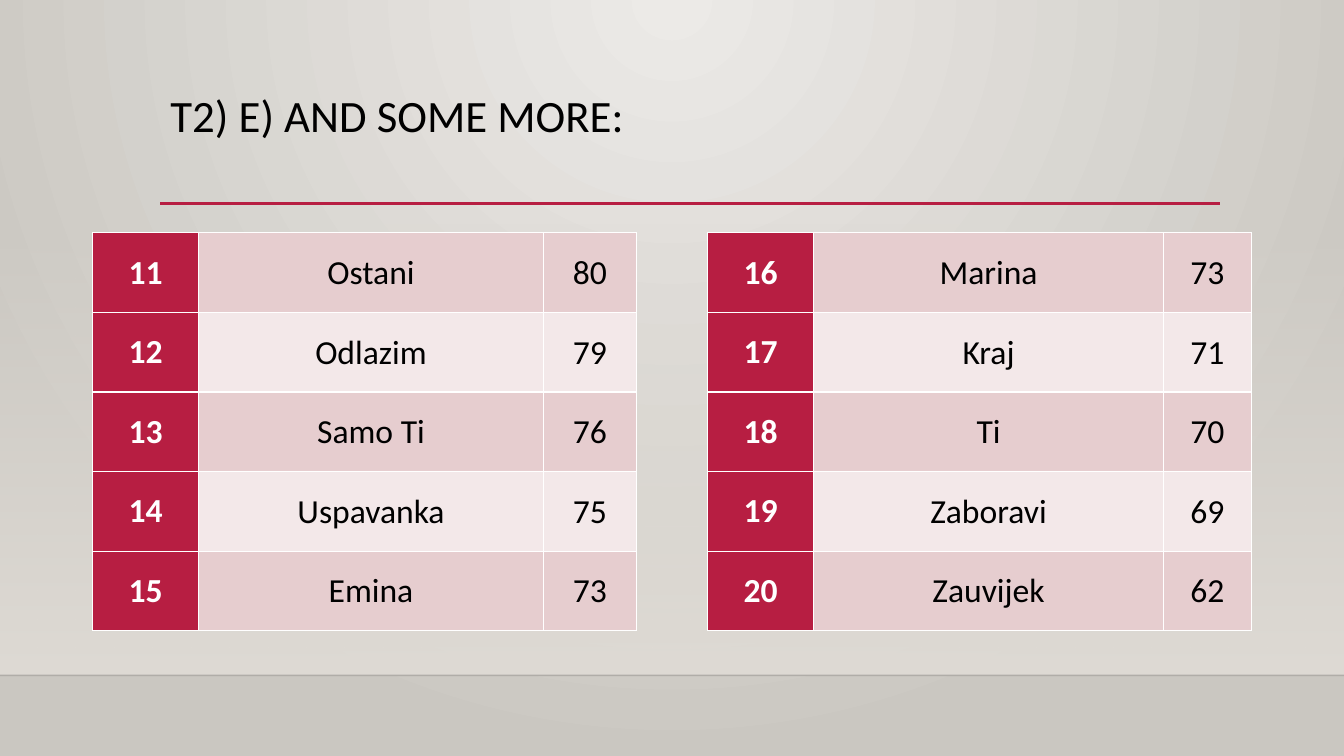
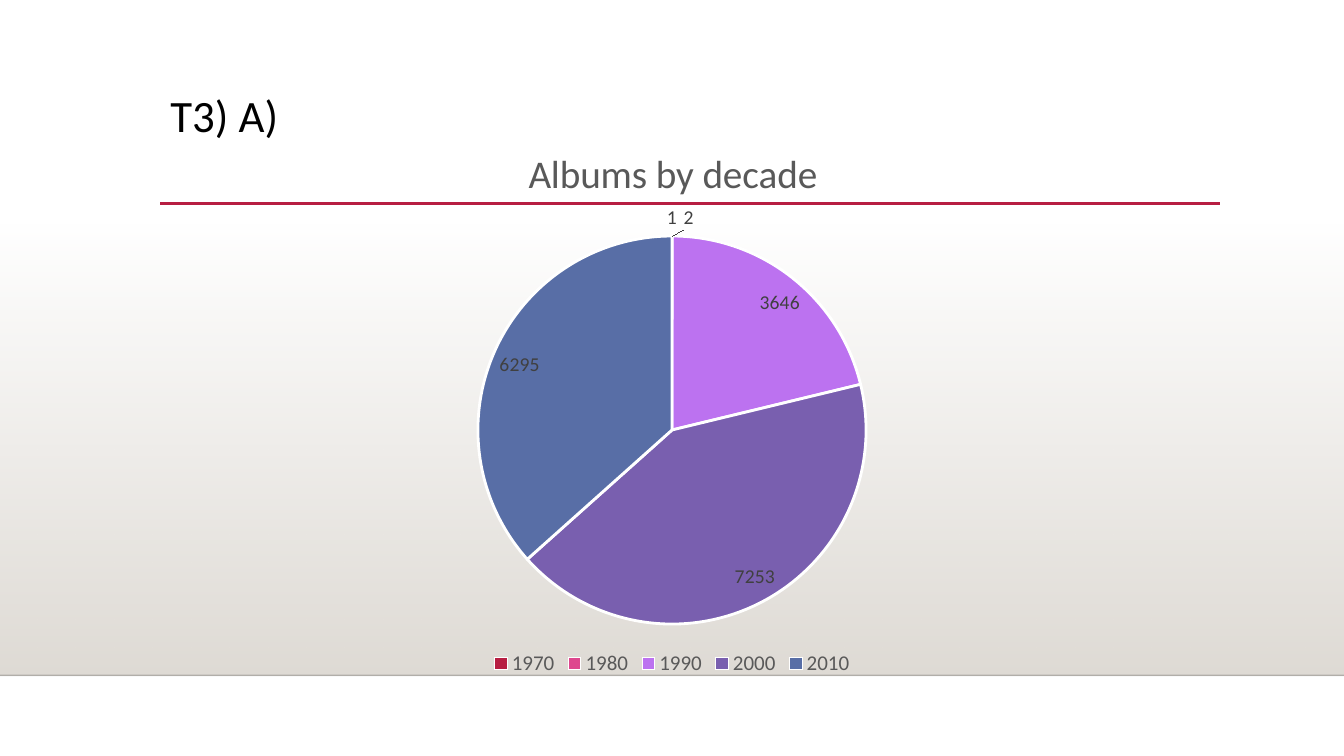
from pptx import Presentation
from pptx.chart.data import CategoryChartData
from pptx.dml.color import RGBColor
from pptx.enum.chart import XL_CHART_TYPE, XL_LABEL_POSITION, XL_LEGEND_POSITION
from pptx.enum.shapes import MSO_CONNECTOR, MSO_SHAPE
from pptx.enum.text import MSO_ANCHOR, PP_ALIGN
from pptx.oxml import parse_xml
from pptx.oxml.ns import nsdecls, qn
from pptx.util import Inches, Pt

PIE = XL_CHART_TYPE.PIE
BEST_FIT = XL_LABEL_POSITION.BEST_FIT
LEGEND_BOTTOM = XL_LEGEND_POSITION.BOTTOM
STRAIGHT = MSO_CONNECTOR.STRAIGHT
RECTANGLE = MSO_SHAPE.RECTANGLE
TOP, MIDDLE = MSO_ANCHOR.TOP, MSO_ANCHOR.MIDDLE
LEFT, CENTER = PP_ALIGN.LEFT, PP_ALIGN.CENTER

# Content
SONG_TITLE = "T2) E) AND SOME MORE:"
FIRST_RANK = 11
SONGS = [
    ("Ostani", 80), ("Odlazim", 79), ("Samo Ti", 76), ("Uspavanka", 75), ("Emina", 73),
    ("Marina", 73), ("Kraj", 71), ("Ti", 70), ("Zaboravi", 69), ("Zauvijek", 62),
]
DECADE_TITLE = "T3) A)"
CHART_TITLE = "Albums by decade"
ALBUMS = {"1970": 1, "1980": 2, "1990": 3646, "2000": 7253, "2010": 6295}


class Theme:
    font = "Calibri"
    title_size, cell_size = 32, 24
    chart_title_size, legend_size, label_size = 28, 15, 14
    black, white, accent = "000000", "FFFFFF", "B71E42"
    bands = ("E6CDCF", "F3E8E9")
    glow = ("ECEAE7", "CAC7C1")
    haze = "DFDBD5"
    chart_text, label_text = "595959", "404040"
    slices = ("B71E42", "DE478E", "BC72F0", "795FAF", "586EA6")


# Geometry in inches
WIDTH, HEIGHT = 13.33, 7.5
MARGIN = 0.92
HAZE_TOP, FLOOR = 2.21, 6.7
RULE_LEFT, RULE_RIGHT, RULE_Y = 1.59, 12.1, 2.02
TITLE_BOX = (RULE_LEFT, 0.88, 10.5, 1.15)
TABLE_TOP, TABLE_WIDTH, ROW_HEIGHT = 2.31, 5.39, 0.79
TABLE_ROWS = 5
RANK_WIDTH = 1.05
SCORE_WIDTHS = (0.92, 0.87)
CHART_BOX = (MARGIN, 1.17, WIDTH - 2 * MARGIN, 5.58)
# Shares of the chart's size
PLOT_SHARES = {"x": 0.33, "y": 0.21, "w": 0.34, "h": 0.69}
CHART_TITLE_SHARES = {"x": 0.37, "y": 0.04}


def inches(*lengths):
    return [Inches(length) for length in lengths]


def rgb(code):
    return RGBColor.from_string(code)


def style_font(font, size, color, bold=False):
    font.name, font.size, font.bold = Theme.font, Pt(size), bold
    font.color.rgb = rgb(color)


def set_gradient(owner, fill, stops, direction):
    """Stops are (position, colour, opacity), all in percent."""
    fill.gradient()
    gradient = next(owner.element.iter(qn("a:gradFill")))
    for child in list(gradient):
        gradient.remove(child)
    stop_xml = "".join(
        f'<a:gs pos="{position * 1000}"><a:srgbClr val="{color}">'
        f'<a:alpha val="{opacity * 1000}"/></a:srgbClr></a:gs>'
        for position, color, opacity in stops
    )
    gradient.append(parse_xml(f'<a:gsLst {nsdecls("a")}>{stop_xml}</a:gsLst>'))
    gradient.append(parse_xml(direction))


def add_line(page, start, end, color, width, opacity=100):
    line = page.shapes.add_connector(STRAIGHT, *inches(*start, *end))
    line.line.color.rgb = rgb(color)
    line.line.width = Pt(width)
    ink = next(line.element.iter(qn("a:srgbClr")))
    ink.append(parse_xml(f'<a:alpha {nsdecls("a")} val="{opacity * 1000}"/>'))
    line.element.spPr.append(parse_xml(f'<a:effectLst {nsdecls("a")}/>'))


def add_page(deck, title, glowing=False):
    page = deck.slides.add_slide(deck.slide_layouts[5])
    # Background
    if glowing:
        center = (f'<a:path {nsdecls("a")} path="circle">'
                  '<a:fillToRect l="43000" r="43000" b="100000"/></a:path>')
        stops = [(0, Theme.glow[0], 100), (100, Theme.glow[1], 100)]
        set_gradient(page, page.background.fill, stops, center)
    else:
        page.background.fill.solid()
        page.background.fill.fore_color.rgb = rgb(Theme.white)
    # Haze, floor line and title rule
    haze = page.shapes.add_shape(RECTANGLE, *inches(0, HAZE_TOP, WIDTH, FLOOR - HAZE_TOP))
    haze.shadow.inherit = False
    haze.line.fill.background()
    downward = f'<a:lin {nsdecls("a")} ang="5400000" scaled="0"/>'
    set_gradient(haze, haze.fill, [(0, Theme.haze, 0), (100, Theme.haze, 100)], downward)
    add_line(page, (0, FLOOR), (WIDTH, FLOOR), Theme.black, 1, opacity=20)
    add_line(page, (RULE_LEFT, RULE_Y), (RULE_RIGHT, RULE_Y), Theme.accent, 2.5)
    # Title
    box = page.shapes.title
    box.left, box.top, box.width, box.height = inches(*TITLE_BOX)
    box.text_frame.text = title
    box.text_frame.vertical_anchor = TOP
    para = box.text_frame.paragraphs[0]
    para.alignment, para.line_spacing = LEFT, 0.9
    style_font(para.font, Theme.title_size, Theme.black)
    return page


def fill_cell(cell, text, fill, color, is_rank):
    cell.text = str(text)
    cell.vertical_anchor = MIDDLE
    if not is_rank:
        cell.margin_left = cell.margin_right = cell.margin_top = Inches(0.01)
        cell.margin_bottom = 0
    para = cell.text_frame.paragraphs[0]
    para.alignment = CENTER
    style_font(para.font, Theme.cell_size, color, bold=is_rank)
    properties = cell._tc.get_or_add_tcPr()
    for side in "LRTB":
        properties.append(parse_xml(
            f'<a:ln{side} {nsdecls("a")} w="12700"><a:solidFill>'
            f'<a:srgbClr val="{Theme.white}"/></a:solidFill></a:ln{side}>'
        ))
    cell.fill.solid()
    cell.fill.fore_color.rgb = rgb(fill)


def add_song_table(page, left, first_rank, songs, score_width):
    frame = page.shapes.add_table(
        len(songs), 3, *inches(left, TABLE_TOP, TABLE_WIDTH, ROW_HEIGHT * len(songs)))
    table = frame.table
    table.first_row = table.horz_banding = False
    widths = (RANK_WIDTH, TABLE_WIDTH - RANK_WIDTH - score_width, score_width)
    for column, width in zip(table.columns, widths):
        column.width = Inches(width)
    for row, (song, score) in enumerate(songs):
        table.rows[row].height = Inches(ROW_HEIGHT)
        for column, text in enumerate((first_rank + row, song, score)):
            is_rank = column == 0
            fill = Theme.accent if is_rank else Theme.bands[row % 2]
            color = Theme.white if is_rank else Theme.black
            fill_cell(table.cell(row, column), text, fill, color, is_rank)


def manual_layout(shares, inner=False):
    target = '<c:layoutTarget val="inner"/>' if inner else ""
    modes = "".join(f'<c:{key}Mode val="edge"/>' for key in "xy")
    values = "".join(f'<c:{key} val="{share}"/>' for key, share in shares.items())
    return parse_xml(f'<c:layout {nsdecls("c")}><c:manualLayout>'
                     f'{target}{modes}{values}</c:manualLayout></c:layout>')


def place_part(part, after, layout):
    for old in part.findall(qn("c:layout")):
        part.remove(old)
    anchor = part.find(qn(after)) if after else None
    part.insert(0 if anchor is None else part.index(anchor) + 1, layout)


def add_album_chart(page):
    data = CategoryChartData()
    data.categories = list(ALBUMS)
    data.add_series("Series 1", list(ALBUMS.values()))
    chart = page.shapes.add_chart(PIE, *inches(*CHART_BOX), data).chart
    style_font(chart.font, 10, Theme.black)
    # Title and legend
    chart.has_title = True
    chart.chart_title.text_frame.text = CHART_TITLE
    para = chart.chart_title.text_frame.paragraphs[0]
    style_font(para.font, Theme.chart_title_size, Theme.chart_text)
    chart.has_legend = True
    chart.legend.position = LEGEND_BOTTOM
    chart.legend.include_in_layout = False
    style_font(chart.legend.font, Theme.legend_size, Theme.chart_text)
    # Slices and labels
    chart.plots[0].vary_by_categories = True
    series = chart.plots[0].series[0]
    for index, color in enumerate(Theme.slices):
        part = series.points[index].format
        part.fill.solid()
        part.fill.fore_color.rgb = rgb(color)
        part.line.color.rgb = rgb(Theme.white)
        part.line.width = Pt(2)
    labels = series.data_labels
    labels.show_value = True
    labels.position = BEST_FIT
    style_font(labels.font, Theme.label_size, Theme.label_text)
    # Placement inside the chart
    root = chart.element
    place_part(next(root.iter(qn("c:plotArea"))), None, manual_layout(PLOT_SHARES, inner=True))
    place_part(next(root.iter(qn("c:title"))), "c:tx", manual_layout(CHART_TITLE_SHARES))


def main():
    deck = Presentation()
    deck.slide_width, deck.slide_height = inches(WIDTH, HEIGHT)

    songs_page = add_page(deck, SONG_TITLE, glowing=True)
    lefts = (MARGIN, WIDTH - MARGIN - TABLE_WIDTH)
    for index, (left, score_width) in enumerate(zip(lefts, SCORE_WIDTHS)):
        start = index * TABLE_ROWS
        songs = SONGS[start:start + TABLE_ROWS]
        add_song_table(songs_page, left, FIRST_RANK + start, songs, score_width)

    add_album_chart(add_page(deck, DECADE_TITLE))
    deck.save("out.pptx")


if __name__ == "__main__":
    main()
